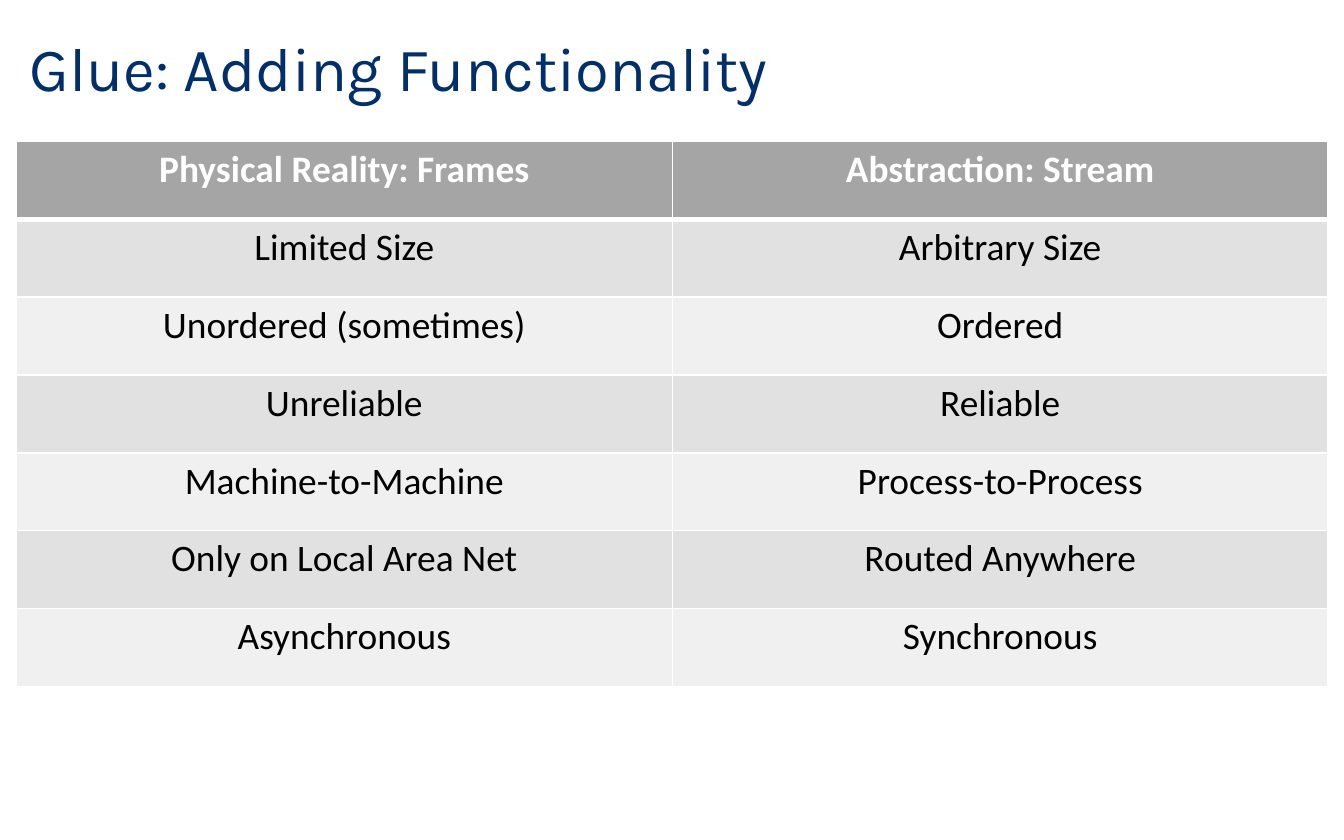
from lxml import etree
from pptx import Presentation
from pptx.dml.color import RGBColor
from pptx.enum import text as t
from pptx.oxml import ns
from pptx.util import Pt

NAVY = RGBColor(0x00, 0x2F, 0x6C)
WHITE = RGBColor(0xFF, 0xFF, 0xFF)
BLACK = RGBColor(0x00, 0x00, 0x00)
HEAD = RGBColor(0xA5, 0xA5, 0xA5)
BANDS = [RGBColor(0xE1, 0xE1, 0xE1), RGBColor(0xF0, 0xF0, 0xF0)]

ROWS = [
    ("Physical Reality: Frames", "Abstraction: Stream"),
    ("Limited Size", "Arbitrary Size"),
    ("Unordered (sometimes)", "Ordered"),
    ("Unreliable", "Reliable"),
    ("Machine-to-Machine", "Process-to-Process"),
    ("Only on Local Area Net", "Routed Anywhere"),
    ("Asynchronous", "Synchronous"),
]
COL_W = Pt(351.4)
ROW_H = Pt(41.7)


def add_run(para, words, font, size, color, bold=False):
    run = para.add_run()
    run.text = words
    run.font.name = font
    run.font.size = Pt(size)
    run.font.color.rgb = color
    run.font.bold = bold


def add_title(slide, words):
    title = slide.shapes.title
    title.left, title.top = Pt(8.6), Pt(7.2)
    title.width, title.height = Pt(613.4), Pt(61.9)
    frame = title.text_frame
    frame.word_wrap = True
    frame.auto_size = t.MSO_AUTO_SIZE.NONE
    frame.vertical_anchor = t.MSO_ANCHOR.MIDDLE
    para = frame.paragraphs[0]
    para.alignment = t.PP_ALIGN.LEFT
    para.line_spacing = 0.9
    add_run(para, words, "Karla", 33, NAVY)


def set_edges(cell, base):
    """Rule the cell in white; base is the bottom width in points."""
    props = cell._tc.get_or_add_tcPr()
    widths = {"L": 1, "R": 1, "T": 1, "B": base}
    for spot, (side, width) in enumerate(widths.items()):
        line = etree.Element(ns.qn(f"a:ln{side}"), w=str(Pt(width)))
        fill = etree.SubElement(line, ns.qn("a:solidFill"))
        etree.SubElement(fill, ns.qn("a:srgbClr"), val=str(WHITE))
        props.insert(spot, line)


def fill_cell(cell, words, row):
    head = row == 0
    cell.margin_left = cell.margin_right = Pt(7.7)
    cell.margin_top = cell.margin_bottom = Pt(3)
    cell.fill.solid()
    cell.fill.fore_color.rgb = HEAD if head else BANDS[(row - 1) % 2]
    set_edges(cell, 3 if head else 1)
    para = cell.text_frame.paragraphs[0]
    para.alignment = t.PP_ALIGN.CENTER
    add_run(para, words, "Calibri", 20, WHITE if head else BLACK, head)


def add_grid(slide, rows):
    count, cols = len(rows), len(rows[0])
    frame = slide.shapes.add_table(
        count, cols, Pt(8.8), Pt(75.8), COL_W * cols, ROW_H * count)
    table = frame.table
    for col in table.columns:
        col.width = COL_W
    for i, row in enumerate(rows):
        table.rows[i].height = ROW_H
        for j, words in enumerate(row):
            fill_cell(table.cell(i, j), words, i)


def main():
    deck = Presentation()
    deck.slide_width, deck.slide_height = Pt(720), Pt(450)
    slide = deck.slides.add_slide(deck.slide_layouts[5])
    add_title(slide, "Glue: Adding Functionality")
    add_grid(slide, ROWS)
    deck.save("out.pptx")


if __name__ == "__main__":
    main()
